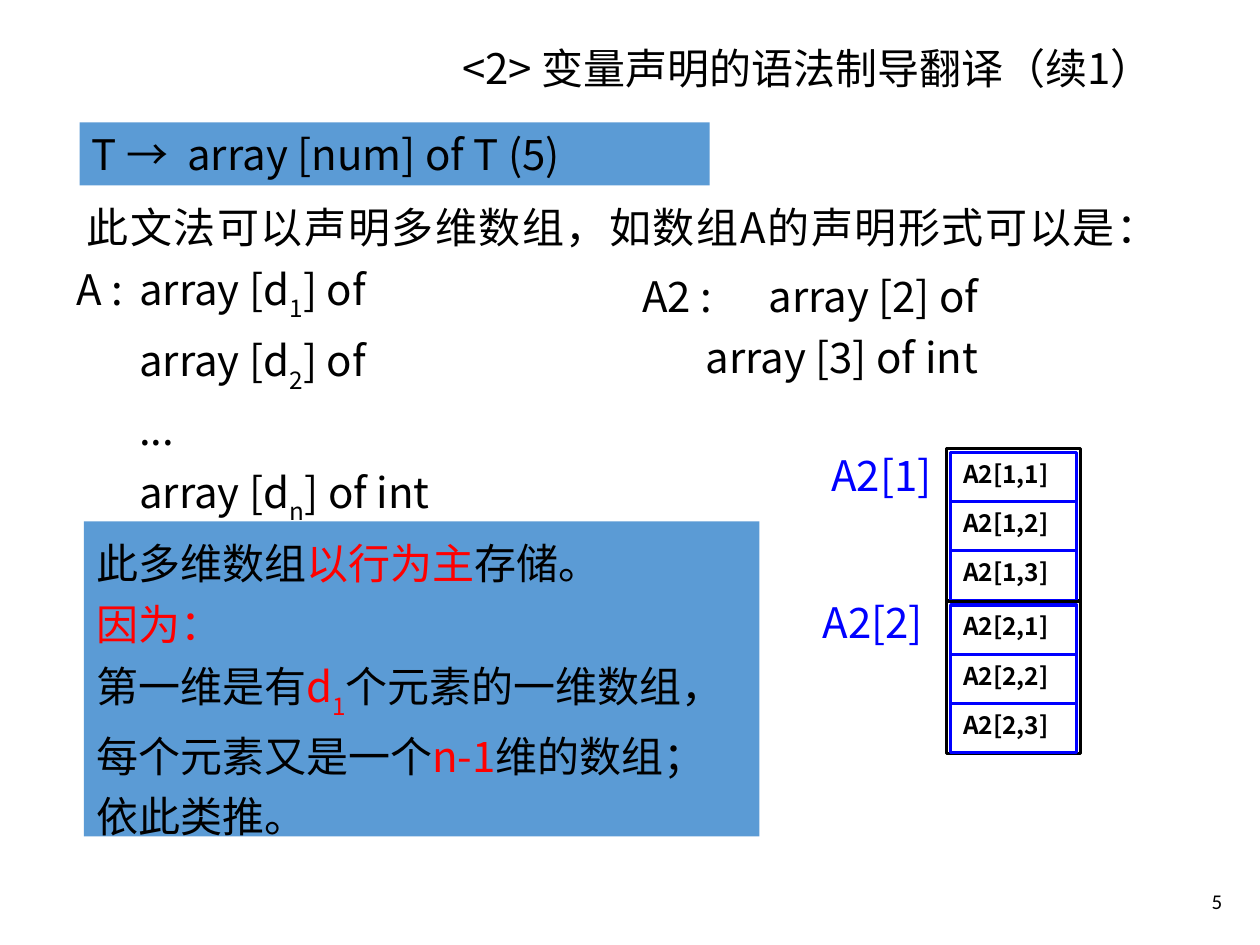
from lxml import etree
from pptx import Presentation
from pptx.dml.color import RGBColor
from pptx.enum import shapes, text
from pptx.oxml import ns
from pptx.util import Pt

BLACK = RGBColor(0x00, 0x00, 0x00)
RED = RGBColor(0xFF, 0x00, 0x00)
BLUE = RGBColor(0x00, 0x00, 0xFF)
PANEL = RGBColor(0x5B, 0x9B, 0xD5)
CJK = "Noto Sans CJK SC"
LEFT, RIGHT, JUSTIFY = text.PP_ALIGN.LEFT, text.PP_ALIGN.RIGHT, text.PP_ALIGN.JUSTIFY


def sub(content, color=None):
    """A run set as a subscript."""
    return content, color, True


def red(content):
    return content, RED, False


def write(frame, lines, size=24, color=BLACK, font=CJK, align=LEFT,
          spacing=None, bold=False):
    """Fill a frame; each line is a list of strings and (text, color, subscript) runs."""
    for index, line in enumerate(lines):
        para = frame.paragraphs[0] if index == 0 else frame.add_paragraph()
        para.alignment = align
        if spacing:
            para.line_spacing = spacing
        para.font.size, para.font.bold, para.font.name = Pt(size), bold, font
        para.font.color.rgb = color
        # East Asian glyphs need their own typeface entry
        latin = para.font._element.find(ns.qn("a:latin"))
        east_asian = etree.Element(ns.qn("a:ea"), typeface=font)
        latin.addnext(east_asian)
        for part in line:
            content, run_color, lowered = part if isinstance(part, tuple) else (part, None, False)
            run = para.add_run()
            run.text = content
            if run_color is not None:
                run.font.color.rgb = run_color
            if lowered:
                run.font._element.set("baseline", "-30000")


def add_text(slide, box, lines, wrap=True, anchor=text.MSO_ANCHOR.TOP, **style):
    frame = slide.shapes.add_textbox(*map(Pt, box)).text_frame
    frame.word_wrap = wrap
    frame.vertical_anchor = anchor
    if not wrap:
        frame.auto_size = text.MSO_AUTO_SIZE.SHAPE_TO_FIT_TEXT
    write(frame, lines, **style)


def add_box(slide, box, fill=None, line=None, lines=(), **style):
    rect = slide.shapes.add_shape(shapes.MSO_SHAPE.RECTANGLE, *map(Pt, box))
    rect.shadow.inherit = False
    if fill is None:
        rect.fill.background()
    else:
        rect.fill.solid()
        rect.fill.fore_color.rgb = fill
    if line is None:
        rect.line.fill.background()
    else:
        rect.line.color.rgb = line
        rect.line.width = Pt(1.75)
    rect.text_frame.vertical_anchor = text.MSO_ANCHOR.TOP
    write(rect.text_frame, lines, **style)


def place_title(slide, box):
    title = slide.shapes.title
    title.left, title.top, title.width, title.height = map(Pt, box)
    frame = title.text_frame
    frame.auto_size = text.MSO_AUTO_SIZE.NONE
    frame.vertical_anchor = text.MSO_ANCHOR.MIDDLE
    write(frame, [["<2> 变量声明的语法制导翻译（续1）"]], align=RIGHT, spacing=0.9)


def place_grammar(slide, box):
    """Production rule, with the sentence that introduces the declarations."""
    left, top, width, height = box
    add_box(slide, (left, top, width, 36), fill=PANEL, align=JUSTIFY,
            lines=[["T →  array [num] of T (5)"]])
    add_text(slide, (left - 3, top + 36, 602.5, height - 36),
             [["此文法可以声明多维数组，如数组A的声明形式可以是："]],
             wrap=False, align=JUSTIFY, spacing=1.2)


def place_declarations(slide, box):
    """General n-dimensional form on the left, a 2 by 3 example on the right."""
    left, top, width, height = box
    column = 300
    add_text(slide, (left, top, column, height),
             [["A : \tarray [d", sub("1"), "] of"],
              ["\tarray [d", sub("2"), "] of"],
              ["\t..."],
              ["\tarray [d", sub("n"), "] of int"]], spacing=1.2)
    add_text(slide, (left + width - column, top + 5.5, column, 76.5),
             [["A2 : \tarray [2] of"], ["\tarray [3] of int"]], spacing=1.2)


def place_storage_note(slide, box):
    add_box(slide, box, fill=PANEL, spacing=1.2, lines=[
        ["此多维数组", red("以行为主"), "存储。"],
        [red("因为：")],
        ["第一维是有", red("d"), sub("1", RED), "个元素的一维数组，"],
        ["每个元素又是一个", red("n-1"), "维的数组；"],
        ["依此类推。"]])


def place_memory_layout(slide, box, rows=2, columns=3):
    """Row-major storage: one black frame per row, one blue cell per element."""
    left, top, width, height = box
    row_pitch = height / rows
    inset_x, inset_y = 2.5, 2.25
    cell_height = (row_pitch - 2.75) / columns
    label_places = [(468, 253.5), (463, 337.5)]
    for row in range(rows):
        row_top = top + row * row_pitch
        add_box(slide, (left, row_top, width, row_pitch), line=BLACK)
        add_text(slide, (*label_places[row], 75, 36.5), [[f"A2[{row + 1}]"]],
                 wrap=False, color=BLUE)
        for column in range(columns):
            cell = (left + inset_x, row_top + inset_y + column * cell_height,
                    width - 2 * inset_x, cell_height)
            add_box(slide, cell, line=BLUE, size=14, bold=True, align=JUSTIFY,
                    lines=[[f"A2[{row + 1},{column + 1}]"]])


def place_page_number(slide, box):
    add_text(slide, box, [["5"]], anchor=text.MSO_ANCHOR.MIDDLE,
             size=12, font="Calibri", align=RIGHT)


def main():
    deck = Presentation()
    deck.slide_width, deck.slide_height = Pt(720), Pt(540)
    slide = deck.slides.add_slide(deck.slide_layouts[5])  # Title Only
    place_title(slide, (54, 20, 612, 40.5))
    place_page_number(slide, (543.5, 500.5, 162, 28.5))
    place_declarations(slide, (36.5, 140, 623.5, 145.5))
    place_grammar(slide, (45.5, 70, 360, 78))
    place_storage_note(slide, (48, 298, 386, 180))
    place_memory_layout(slide, (540.75, 256.25, 77, 174.5))
    deck.save("out.pptx")


if __name__ == "__main__":
    main()
